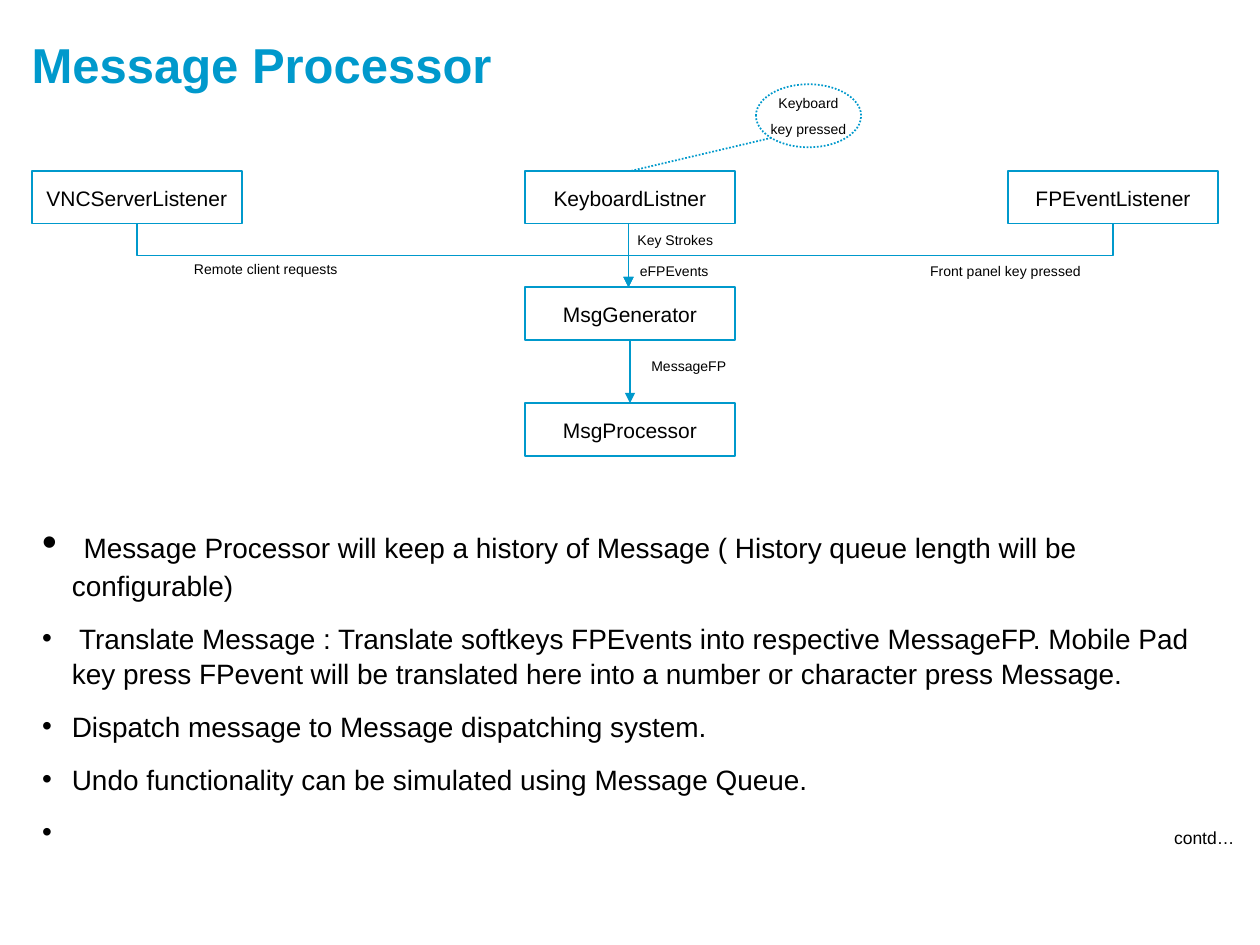
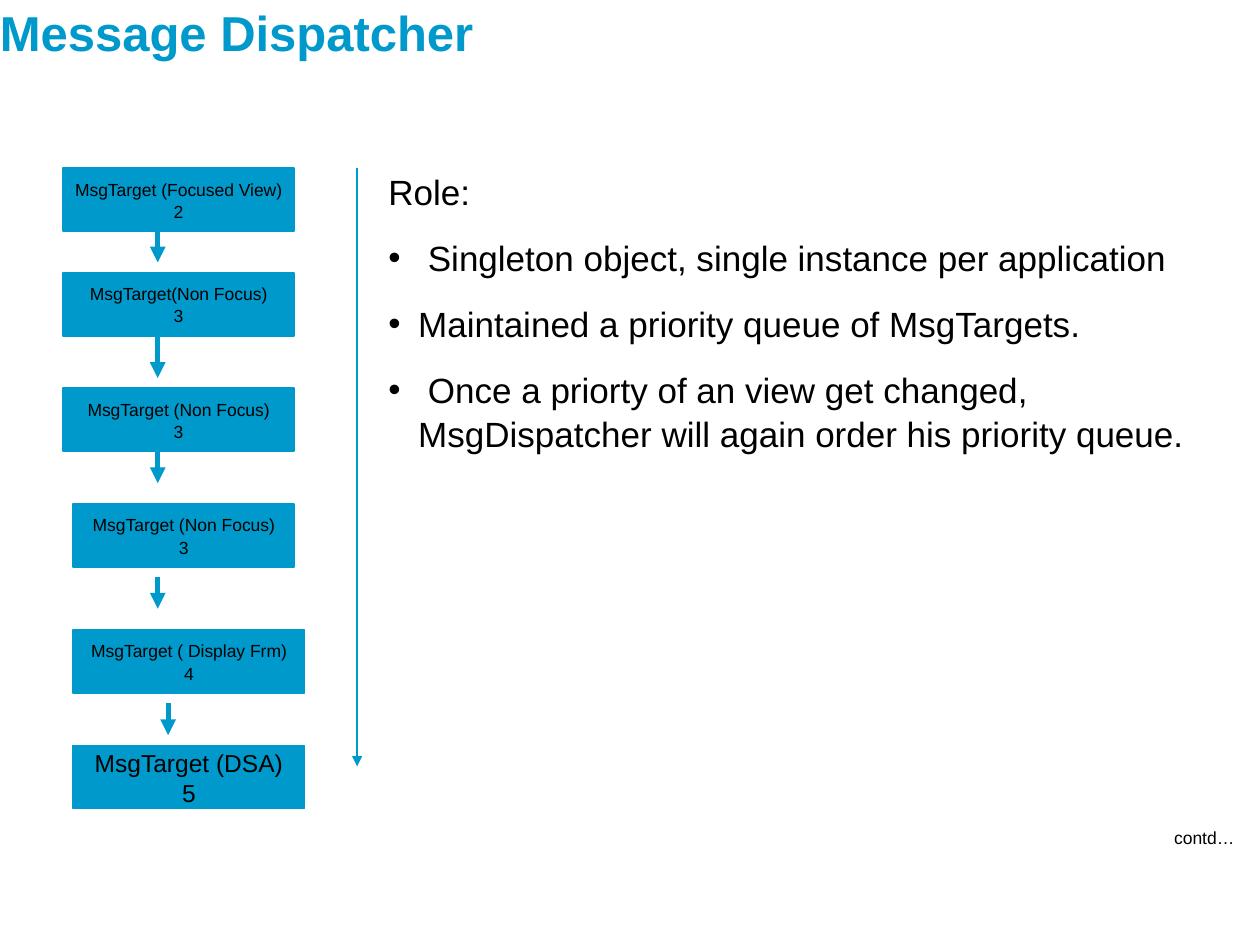
from dataclasses import dataclass

from lxml import etree
from pptx import Presentation
from pptx.dml.color import RGBColor
from pptx.enum.dml import MSO_LINE
from pptx.enum.shapes import MSO_CONNECTOR, MSO_SHAPE
from pptx.enum.text import MSO_ANCHOR, PP_ALIGN
from pptx.oxml.ns import qn
from pptx.util import Cm, Pt

RECTANGLE, ELLIPSE = MSO_SHAPE.RECTANGLE, MSO_SHAPE.OVAL
STRAIGHT, ELBOW = MSO_CONNECTOR.STRAIGHT, MSO_CONNECTOR.ELBOW
DOTTED = MSO_LINE.ROUND_DOT
LEFT, CENTER = PP_ALIGN.LEFT, PP_ALIGN.CENTER
TOP, MIDDLE = MSO_ANCHOR.TOP, MSO_ANCHOR.MIDDLE


@dataclass(frozen=True)
class Theme:
    font: str = "Arial"
    accent: RGBColor = RGBColor(0x00, 0x99, 0xCC)
    ink: RGBColor = RGBColor(0x00, 0x00, 0x00)
    title: int = 28
    role: int = 20
    body: int = 16
    lead: int = 24
    target_large: int = 14
    node: int = 12
    small: int = 10
    label: int = 8
    line_spacing: float = 1.05
    bullet_indent: float = 0.6
    thin: int = 1
    thick: int = 3


THEME = Theme()


@dataclass(frozen=True)
class Area:
    """A rectangle in centimetres."""
    left: float
    top: float
    width: float
    height: float

    @property
    def middle(self) -> float:
        return self.left + self.width / 2

    @property
    def bottom(self) -> float:
        return self.top + self.height

    def lengths(self) -> tuple:
        return Cm(self.left), Cm(self.top), Cm(self.width), Cm(self.height)


@dataclass(frozen=True)
class Span:
    text: str
    size: int


@dataclass(frozen=True)
class Para:
    spans: tuple[Span, ...]
    bullet: bool = False


@dataclass(frozen=True)
class Target:
    name: str
    priority: str
    left: float
    top: float
    width: float = 4.66
    size: int = THEME.small


@dataclass(frozen=True)
class Arrow:
    x: float
    top: float
    bottom: float


def lines(*texts: str, size: int, bullet: bool = False) -> list[Para]:
    return [Para((Span(text, size),), bullet) for text in texts]


def add_bullet(paragraph) -> None:
    properties = paragraph._p.get_or_add_pPr()
    indent = Cm(THEME.bullet_indent)
    properties.set("marL", str(indent))
    properties.set("indent", str(-indent))
    color = etree.SubElement(properties, qn("a:buClr"))
    etree.SubElement(color, qn("a:srgbClr"), val=str(THEME.ink))
    etree.SubElement(properties, qn("a:buFont"), typeface=THEME.font)
    etree.SubElement(properties, qn("a:buChar"), char="•")


def write(shape, paras: list[Para], *, color: RGBColor = THEME.ink, bold: bool = False,
          align=LEFT, anchor=TOP, wrap: bool = True, space_before: float = 0) -> None:
    frame = shape.text_frame
    frame.word_wrap = wrap
    frame.vertical_anchor = anchor
    frame.margin_left = frame.margin_right = frame.margin_top = frame.margin_bottom = 0
    for index, para in enumerate(paras):
        paragraph = frame.add_paragraph() if index else frame.paragraphs[0]
        if para.bullet:
            add_bullet(paragraph)
        paragraph.alignment = align
        paragraph.line_spacing = THEME.line_spacing
        if index:
            paragraph.space_before = Pt(space_before)
        for span in para.spans:
            run = paragraph.add_run()
            run.text = span.text
            run.font.name = THEME.font
            run.font.size = Pt(span.size)
            run.font.bold = bold
            run.font.color.rgb = color


def add_text(page, area: Area, paras: list[Para], **text_format) -> None:
    write(page.shapes.add_textbox(*area.lengths()), paras, **text_format)


def add_box(page, area: Area, paras: list[Para], *, kind=RECTANGLE,
            filled: bool = False, dash=None, space_before: float = 0) -> None:
    box = page.shapes.add_shape(kind, *area.lengths())
    box.shadow.inherit = False
    if filled:
        box.fill.solid()
        box.fill.fore_color.rgb = THEME.accent
    else:
        box.fill.background()
    style_line(box.line, THEME.thin, dash)
    write(box, paras, align=CENTER, anchor=MIDDLE, wrap=False, space_before=space_before)


def style_line(line, width: int, dash=None) -> None:
    line.color.rgb = THEME.accent
    line.width = Pt(width)
    if dash:
        line.dash_style = dash


def add_line(page, start: tuple[float, float], end: tuple[float, float], *,
             kind=STRAIGHT, width: int = THEME.thin, dash=None, arrow: bool = True):
    connector = page.shapes.add_connector(kind, *(Cm(value) for value in (*start, *end)))
    style_line(connector.line, width, dash)
    if arrow:
        etree.SubElement(connector.line._get_or_add_ln(), qn("a:tailEnd"), type="triangle")
    etree.SubElement(connector._element.spPr, qn("a:effectLst"))
    return connector


def add_vertical_elbow(page, start: tuple[float, float], end: tuple[float, float]) -> None:
    """Draw an elbow that leaves and arrives vertically, by turning a horizontal one."""
    center_x, center_y = (start[0] + end[0]) / 2, (start[1] + end[1]) / 2
    half_run, half_drop = abs(end[0] - start[0]) / 2, (end[1] - start[1]) / 2
    rightward = end[0] > start[0]
    side = half_drop if rightward else -half_drop
    connector = add_line(page, (center_x + side, center_y - half_run),
                         (center_x - side, center_y + half_run), kind=ELBOW)
    degrees = 270 if rightward else 90
    connector._element.spPr.find(qn("a:xfrm")).set("rot", str(degrees * 60000))


def add_page(deck, title: str, left: float, top: float):
    """Add a slide with its title and the continuation mark."""
    page = deck.slides.add_slide(deck.slide_layouts[6])
    add_text(page, Area(left, top, 24.16, 1.27), lines(title, size=THEME.title),
             color=THEME.accent, bold=True)
    add_text(page, Area(23.67, 16.66, 1.48, 0.43), lines("contd…", size=THEME.small))
    return page


def build_processor(deck) -> None:
    page = add_page(deck, "Message Processor", 0.64, 0.64)

    first_row, row_step, center_left = 3.45, 2.34, 10.58
    nodes = {
        name: Area(left, first_row + row * row_step, 4.24, 1.06)
        for name, left, row in (
            ("VNCServerListener", 0.64, 0),
            ("KeyboardListner", center_left, 0),
            ("FPEventListener", 20.32, 0),
            ("MsgGenerator", center_left, 1),
            ("MsgProcessor", center_left, 2),
        )
    }
    for name, area in nodes.items():
        add_box(page, area, lines(name, size=THEME.node))

    vnc, keyboard, panel, generator, processor = nodes.values()
    inlet = (12.67, generator.top)
    add_line(page, (inlet[0], keyboard.bottom), inlet)
    add_line(page, (generator.middle, generator.bottom), (processor.middle, processor.top))
    for listener in (vnc, panel):
        add_vertical_elbow(page, (listener.middle, listener.bottom), inlet)

    for label, left, top, width in (
        ("Key Strokes", 12.85, 4.65, 1.7),
        ("Remote client requests", 3.91, 5.23, 3.18),
        ("Front panel key pressed", 18.75, 5.28, 3.18),
        ("eFPEvents", 12.9, 5.28, 1.48),
        ("MessageFP", 13.13, 7.2, 2.33),
    ):
        add_text(page, Area(left, top, width, 0.34), lines(label, size=THEME.label))

    add_box(page, Area(15.24, 1.7, 2.12, 1.27),
            lines("Keyboard", "key pressed", size=THEME.label),
            kind=ELLIPSE, dash=DOTTED, space_before=5)
    add_line(page, (15.55, 2.78), (keyboard.middle, keyboard.top), dash=DOTTED, arrow=False)

    history = Para((
        Span(" ", THEME.lead),
        Span("Message Processor will keep a history of Message "
             "( History queue length will be configurable)", THEME.body),
    ), bullet=True)
    duties = lines(
        " Translate Message : Translate softkeys FPEvents into respective MessageFP. "
        "Mobile Pad key press FPevent will be translated here into a number or "
        "character press Message.",
        "Dispatch message to Message dispatching system.",
        "Undo functionality can be simulated using Message Queue.",
        " ",
        size=THEME.body, bullet=True)
    add_text(page, Area(0.85, 10.37, 23.92, 6.5), [history, *duties], space_before=10)


def build_dispatcher(deck) -> None:
    page = add_page(deck, "Message Dispatcher", 0, 0)

    outer, inner = 1.27, 1.48
    for target in (
        Target("MsgTarget (Focused View)", "2", outer, 3.39),
        Target("MsgTarget(Non Focus)", "3", outer, 5.5),
        Target("MsgTarget (Non Focus)", "3", outer, 7.83),
        Target("MsgTarget (Non Focus)", "3", inner, 10.16, width=4.45),
        Target("MsgTarget ( Display Frm)", "4", inner, 12.7),
        Target("MsgTarget (DSA)", "5", inner, 15.03, size=THEME.target_large),
    ):
        add_box(page, Area(target.left, target.top, target.width, 1.27),
                lines(target.name, target.priority, size=target.size), filled=True)

    for arrow in (
        Arrow(3.18, 4.66, 5.29),
        Arrow(3.18, 6.77, 7.62),
        Arrow(3.18, 9.1, 9.74),
        Arrow(3.18, 11.64, 12.27),
        Arrow(3.39, 14.18, 14.82),
    ):
        add_line(page, (arrow.x, arrow.top), (arrow.x, arrow.bottom), width=THEME.thick)
    add_line(page, (7.2, 3.39), (7.2, 15.45))

    heading = lines("Role:", size=THEME.role)
    roles = lines(
        " Singleton object, single instance per application",
        "Maintained a priority queue of MsgTargets.",
        " Once a priorty of an view get changed, MsgDispatcher will again order "
        "his priority queue.",
        size=THEME.role, bullet=True)
    add_text(page, Area(7.83, 3.39, 17.15, 6.86), heading + roles, space_before=12.5)


def main() -> None:
    deck = Presentation()
    deck.slide_width, deck.slide_height = Cm(25.4), Cm(19.05)
    build_processor(deck)
    build_dispatcher(deck)
    deck.save("out.pptx")


if __name__ == "__main__":
    main()
